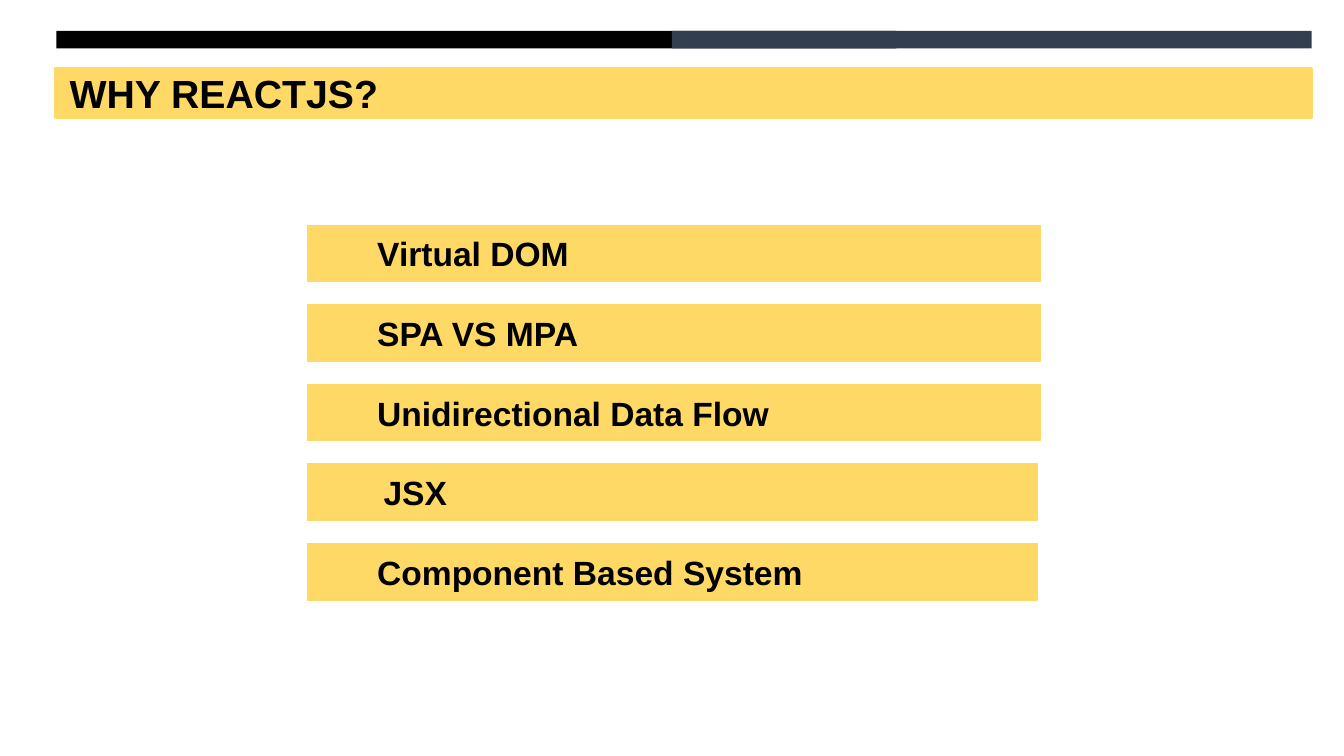
"""Build the slide listing reasons to use ReactJS."""
from pptx import Presentation
from pptx.dml.color import RGBColor
from pptx.enum.shapes import MSO_SHAPE
from pptx.enum.text import MSO_ANCHOR, PP_ALIGN
from pptx.util import Pt

RECTANGLE = MSO_SHAPE.RECTANGLE
MIDDLE = MSO_ANCHOR.MIDDLE
LEFT = PP_ALIGN.LEFT

COLORS = {"black": "000000", "slate": "333F50", "yellow": "FFD966"}
FONT = "Arial"
TITLE = "WHY REACTJS?"
REASONS = [
    ("Virtual DOM", 392.4, 37.2),
    ("SPA VS MPA", 392.4, 37.2),
    ("Unidirectional Data Flow", 392.4, 37.2),
    ("JSX", 391, 40.6),
    ("Component Based System", 391, 37.2),
]
STRIPES = [("black", 30.2, 450), ("slate", 360, 342.7)]
STRIPE_TOP, STRIPE_HEIGHT = 16.6, 9.4
REASON_LEFT, FIRST_CENTER, REASON_PITCH, REASON_HEIGHT = 164.9, 135.8, 42.65, 30.2


def color(name):
    return RGBColor.from_string(COLORS[name])


def add_bar(slide, fill, left, top, width, height, line_width=0):
    bar = slide.shapes.add_shape(RECTANGLE, Pt(left), Pt(top), Pt(width), Pt(height))
    bar.shadow.inherit = False
    bar.fill.solid()
    bar.fill.fore_color.rgb = color(fill)
    if line_width:
        bar.line.color.rgb = color(fill)
        bar.line.width = Pt(line_width)
    else:
        bar.line.fill.background()
    return bar


def write(holder, words, size, inset=7.2):
    frame = holder.text_frame
    frame.text = words
    frame.word_wrap = True
    frame.vertical_anchor = MIDDLE
    frame.margin_left = Pt(inset)
    paragraph = frame.paragraphs[0]
    paragraph.alignment = LEFT
    font = paragraph.runs[0].font
    font.name = FONT
    font.size = Pt(size)
    font.bold = True
    font.color.rgb = color("black")


def main():
    deck = Presentation()
    deck.slide_width, deck.slide_height = Pt(720), Pt(405)
    slide = deck.slides.add_slide(deck.slide_layouts[6])

    add_bar(slide, "yellow", 30.2, 36.7, 672.5, 25.9, 2)
    title = slide.shapes.add_textbox(Pt(30.2), Pt(33.4), Pt(337.7), Pt(32.4))
    write(title, TITLE, 21)

    for fill, left, width in STRIPES:
        add_bar(slide, fill, left, STRIPE_TOP, width, STRIPE_HEIGHT)

    for row, (reason, width, inset) in enumerate(REASONS):
        top = FIRST_CENTER + row * REASON_PITCH - REASON_HEIGHT / 2
        bar = add_bar(slide, "yellow", REASON_LEFT, top, width, REASON_HEIGHT, 0.75)
        write(bar, reason, 18, inset)

    deck.save("out.pptx")


if __name__ == "__main__":
    main()
